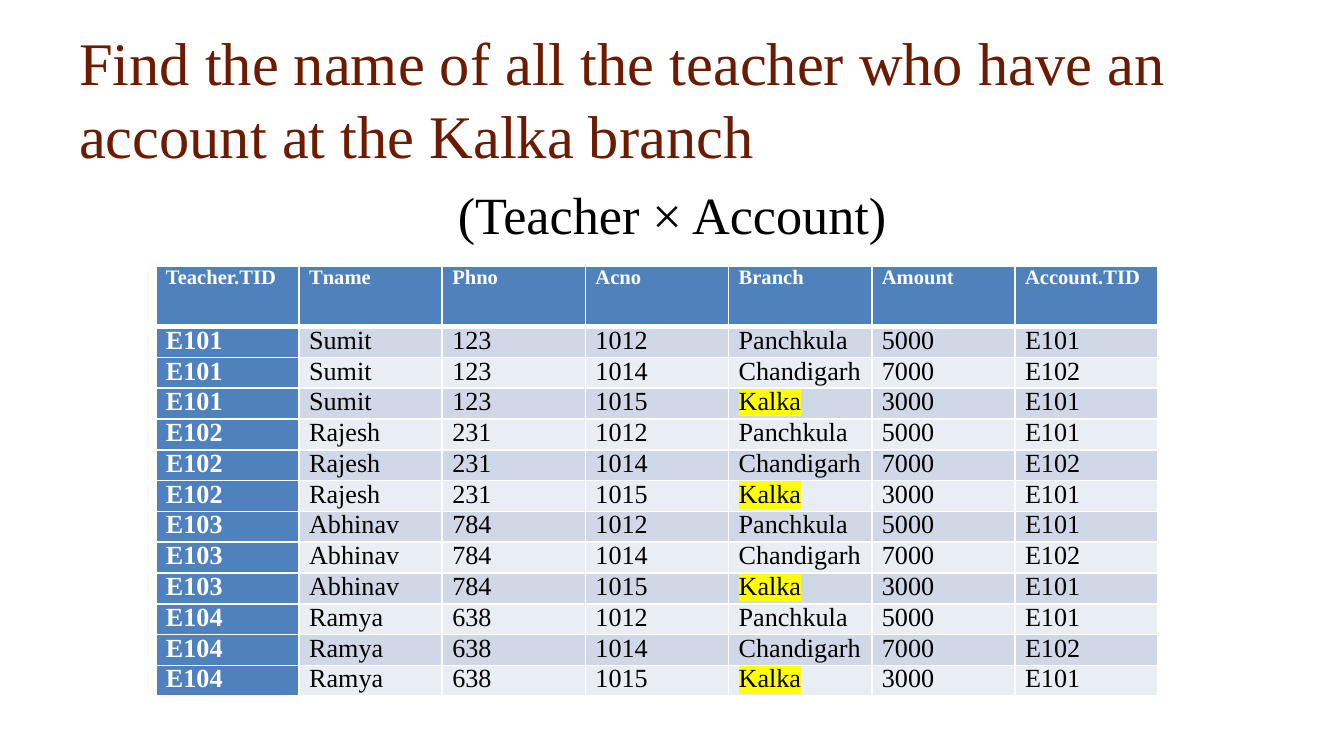
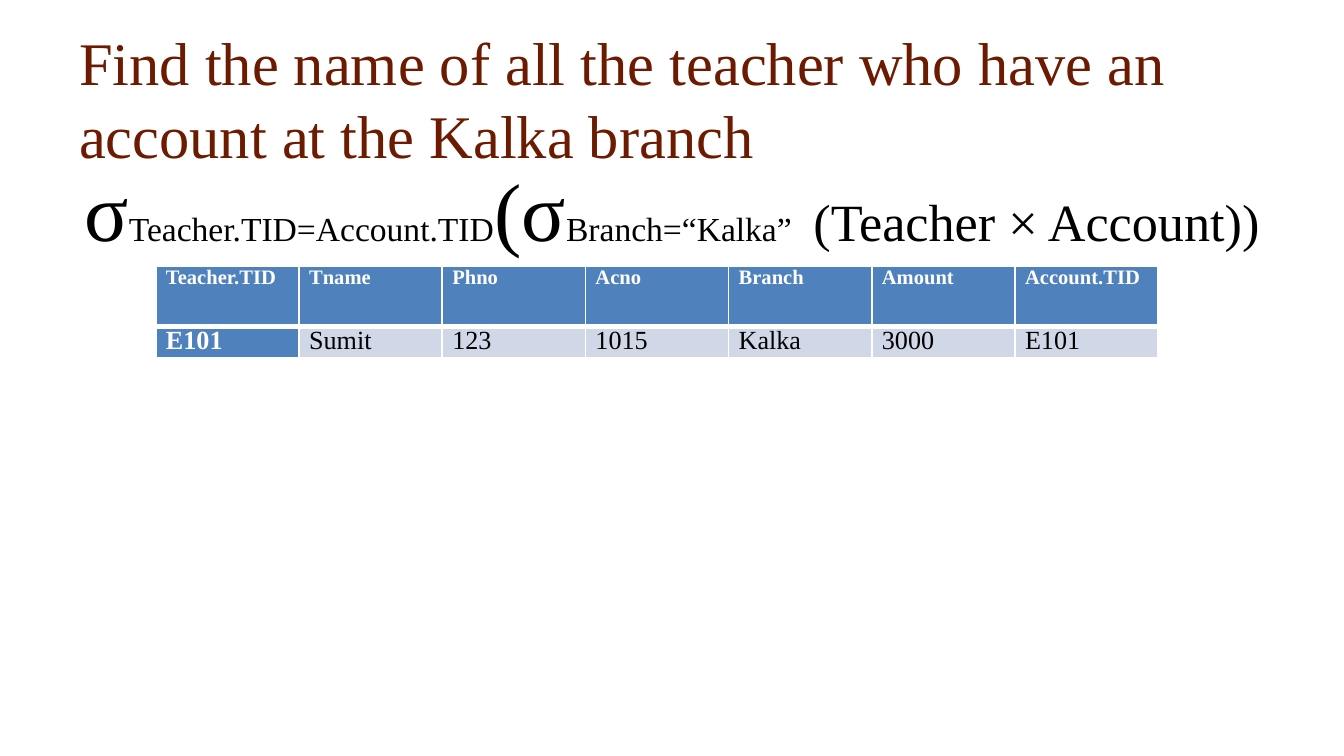
from itertools import product

from lxml import etree
from pptx import Presentation
from pptx.dml.color import RGBColor
from pptx.enum.text import MSO_ANCHOR, PP_ALIGN
from pptx.oxml.ns import qn
from pptx.util import Inches, Pt

LEFT, CENTER, JUSTIFY = PP_ALIGN.LEFT, PP_ALIGN.CENTER, PP_ALIGN.JUSTIFY
TOP, MIDDLE = MSO_ANCHOR.TOP, MSO_ANCHOR.MIDDLE
FONT = "Times New Roman"
BROWN, BLACK, WHITE, YELLOW = "6C1A00", "000000", "FFFFFF", "FFFF00"
BLUE, BANDS = "4F81BD", ("D0D8E8", "E9EDF4")

TITLE = "Find the name of all the teacher who have an account at the Kalka branch"
HEADERS = ["Teacher.TID", "Tname", "Phno", "Acno", "Branch", "Amount", "Account.TID"]
TEACHERS = [
    ("E101", "Sumit", "123"),
    ("E102", "Rajesh", "231"),
    ("E103", "Abhinav", "784"),
    ("E104", "Ramya", "638"),
]
ACCOUNTS = [
    ("1012", "Panchkula", "5000", "E101"),
    ("1014", "Chandigarh", "7000", "E102"),
    ("1015", "Kalka", "3000", "E101"),
]
pairs = [teacher + account for teacher, account in product(TEACHERS, ACCOUNTS)]
matches = [row for row in pairs if row[4] == "Kalka" and row[0] == row[6]]

SLIDES = [
    (1.31, [("(Teacher × Account)", 28)], pairs, "Kalka"),
    (
        1.14,
        [
            ("σ", 44),
            ("Teacher.TID=Account.TID", 18),
            ("(σ", 44),
            ("Branch=“Kalka” ", 18),
            (" (Teacher × Account))", 28),
        ],
        matches,
        None,
    ),
]


def add_text(paragraph, text, size, color=BLACK, bold=False, align=LEFT, highlight=None):
    paragraph.alignment = align
    run = paragraph.add_run()
    run.text = text
    run.font.size = Pt(size)
    run.font.name = FONT
    run.font.bold = bold
    run.font.color.rgb = RGBColor.from_string(color)
    if highlight:
        mark = etree.Element(qn("a:highlight"))
        etree.SubElement(mark, qn("a:srgbClr"), val=highlight)
        run.font._element.find(qn("a:solidFill")).addnext(mark)


def set_borders(cell, **widths):
    properties = cell._tc.get_or_add_tcPr()
    for index, side in enumerate("LRTB"):
        line = etree.Element(qn(f"a:ln{side}"), w=str(Pt(widths.get(side, 1))))
        fill = etree.SubElement(line, qn("a:solidFill"))
        etree.SubElement(fill, qn("a:srgbClr"), val=WHITE)
        properties.insert(index, line)


presentation = Presentation()
presentation.slide_width = Inches(10)
presentation.slide_height = Inches(10) * 9 // 16

for formula_top, formula, rows, marked in SLIDES:
    slide = presentation.slides.add_slide(presentation.slide_layouts[6])

    frames = []
    for top, bottom, anchor in [(0.31, 1.15, MIDDLE), (formula_top, 5.32, TOP)]:
        box = slide.shapes.add_textbox(
            Inches(0.49), Inches(top), Inches(9.02), Inches(bottom - top)
        )
        box.text_frame.word_wrap = True
        box.text_frame.vertical_anchor = anchor
        frames.append(box.text_frame)
    title, body = (frame.paragraphs[0] for frame in frames)
    add_text(title, TITLE, 32.4, color=BROWN)
    body.space_before = Pt(5.6)
    for text, size in formula:
        add_text(body, text, size, align=CENTER)

    records = [HEADERS, *rows[: 1 if marked is None else None]]
    table = slide.shapes.add_table(
        len(records), len(HEADERS),
        Inches(1.16), Inches(1.98), Inches(7.46), Inches(0.45 + 0.22 * (len(records) - 1)),
    ).table
    table.first_col = True
    for row_index, record in enumerate(records):
        is_header = row_index == 0
        table.rows[row_index].height = Inches(0.45 if is_header else 0.22)
        for column_index, value in enumerate(record):
            cell = table.cell(row_index, column_index)
            cell.margin_left = cell.margin_right = Pt(5.4)
            cell.margin_top = cell.margin_bottom = 0
            is_key = is_header or column_index == 0
            cell.fill.solid()
            cell.fill.fore_color.rgb = RGBColor.from_string(
                BLUE if is_key else BANDS[(row_index - 1) % 2]
            )
            set_borders(cell, B=3 if is_header else 1, T=3 if row_index == 1 else 1)
            paragraph = cell.text_frame.paragraphs[0]
            paragraph.line_spacing = 0.98
            paragraph.space_after = Pt(8)
            add_text(
                paragraph, value, 11 if is_header else 14,
                color=WHITE if is_key else BLACK, bold=is_key, align=JUSTIFY,
                highlight=YELLOW if value == marked else None,
            )

presentation.save("out.pptx")
